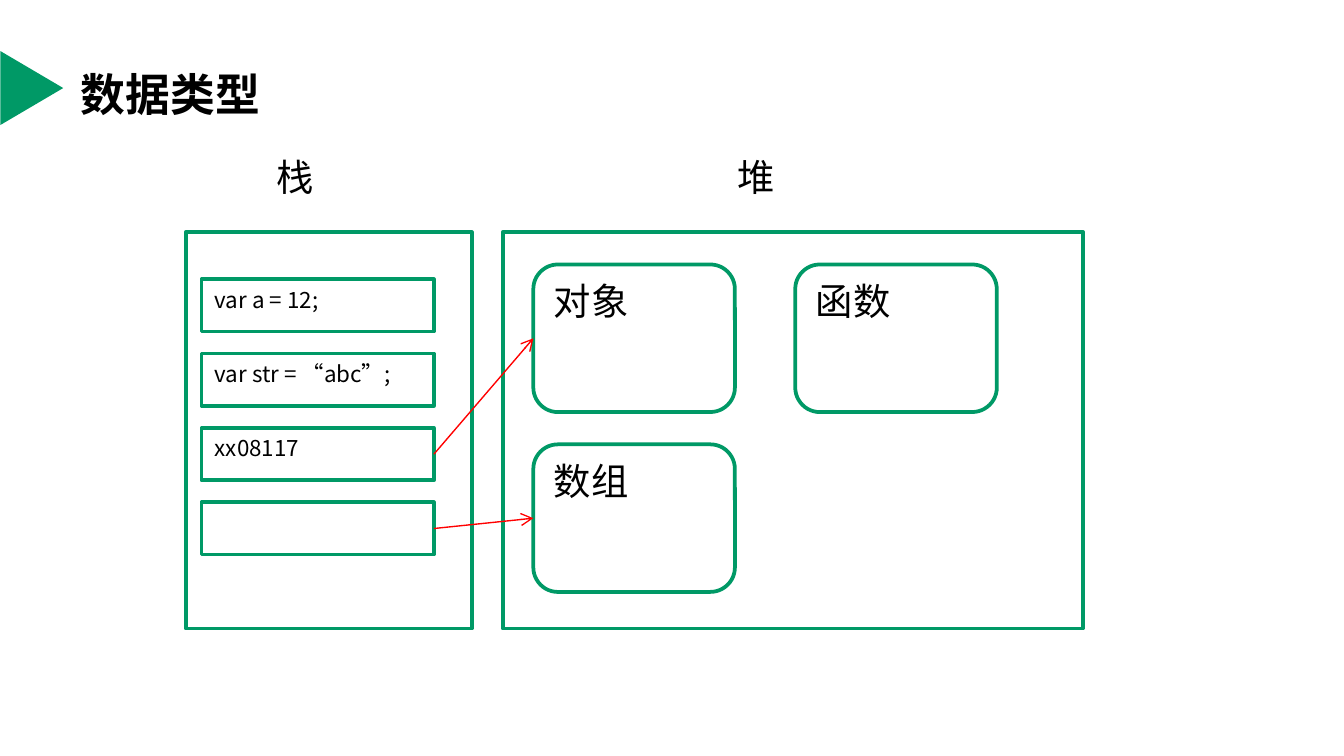
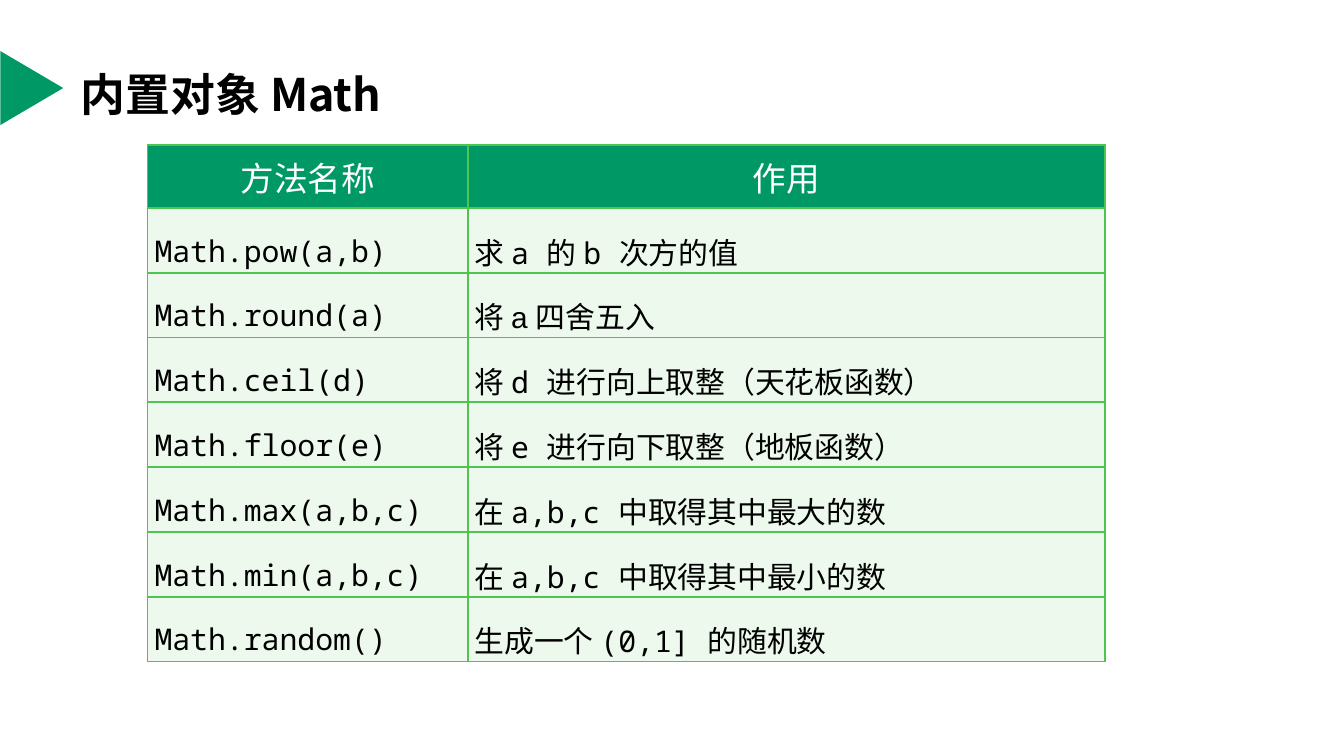
import lxml.etree
import pptx
import pptx.dml.color
import pptx.enum.shapes
import pptx.enum.text
import pptx.oxml.ns
import pptx.util

Cm, Pt = pptx.util.Cm, pptx.util.Pt
SHAPE = pptx.enum.shapes.MSO_SHAPE
ANCHOR = pptx.enum.text.MSO_ANCHOR
ALIGN = pptx.enum.text.PP_ALIGN
qn = pptx.oxml.ns.qn

GREEN, RED, BLACK, WHITE = "009966", "FF0000", "000000", "FFFFFF"
GRID, PALE = "4FC54F", "EDF9ED"
SANS, MONO, PLAIN = "Noto Sans CJK SC", "Noto Sans Mono", "Arial"

MEMORY_TITLE = "数据类型"
AREAS = [
    {"label": "栈", "label_left": 4.98, "left": 3.51, "width": 5.41},
    {"label": "堆", "label_left": 13.69, "left": 9.5, "width": 10.97},
]
VARIABLES = ["var a = 12;", "var str = “abc”;", "xx08117", ""]
HEAP_ITEMS = [("对象", 0, 0), ("函数", 1, 0), ("数组", 0, 1)]
REFERENCES = [(2, "对象"), (3, "数组")]

MATH_TITLE = "内置对象 Math"
MATH_HEADER = ["方法名称", "作用"]
MATH_METHODS = [
    ("Math.pow(a,b)", [("求 a 的 b 次方的值", MONO)]),
    ("Math.round(a)", [("将 a ", PLAIN), ("四舍五入", MONO)]),
    ("Math.ceil(d)", [("将 d 进行向上取整（天花板函数）", MONO)]),
    ("Math.floor(e)", [("将 e 进行向下取整（地板函数）", MONO)]),
    ("Math.max(a,b,c)", [("在 a,b,c 中取得其中最大的数", MONO)]),
    ("Math.min(a,b,c)", [("在 a,b,c 中取得其中最小的数", MONO)]),
    ("Math.random()", [("生成一个 (0,1] 的随机数", MONO)]),
]
COLUMN_WIDTHS = [6.05, 12.04]
ROW_HEIGHT = 1.19


def rgb(code):
    """Turn a hex string into a colour."""
    return pptx.dml.color.RGBColor.from_string(code)


def box(left, top, width, height):
    """Give a position and size in centimetres."""
    return Cm(left), Cm(top), Cm(width), Cm(height)


def add_run(paragraph, text, size, color=BLACK, font=SANS, bold=False):
    """Add one formatted run."""
    run = paragraph.add_run()
    run.text = text
    run.font.size = Pt(size)
    run.font.bold = bold
    run.font.color.rgb = rgb(color)
    run.font.name = font
    east_asian = lxml.etree.SubElement(run.font._element, qn("a:ea"))
    east_asian.set("typeface", SANS)


def add_block(slide, kind, place, text="", size=12):
    """Draw a white shape outlined in green with text at its top left."""
    block = slide.shapes.add_shape(kind, *box(*place))
    block.shadow.inherit = False
    block.fill.solid()
    block.fill.fore_color.rgb = rgb(WHITE)
    block.line.color.rgb = rgb(GREEN)
    block.line.width = Pt(2)
    if text:
        block.text_frame.vertical_anchor = ANCHOR.TOP
        line = block.text_frame.paragraphs[0]
        line.alignment = ALIGN.LEFT
        add_run(line, text, size)
    return block


def add_reference(slide, variable, target):
    """Join a variable's right side to the left side of its heap item."""
    arrow = slide.shapes.add_connector(
        pptx.enum.shapes.MSO_CONNECTOR.STRAIGHT, 0, 0, 0, 0)
    arrow.begin_connect(variable, 3)
    arrow.end_connect(target, 1)
    arrow.line.color.rgb = rgb(RED)
    arrow.line.width = Pt(0.75)
    lxml.etree.SubElement(arrow.line._get_or_add_ln(), qn("a:tailEnd")).set("type", "arrow")
    lxml.etree.SubElement(arrow._element.spPr, qn("a:effectLst"))


def add_titled_slide(deck, heading):
    """Start a slide with the green marker and its title."""
    slide = deck.slides.add_slide(deck.slide_layouts[5])
    marker = slide.shapes.add_shape(SHAPE.ISOSCELES_TRIANGLE, *box(-0.1, 1.07, 1.4, 1.19))
    marker.rotation = 90
    marker.shadow.inherit = False
    marker.fill.solid()
    marker.fill.fore_color.rgb = rgb(GREEN)
    marker.line.fill.background()
    title = slide.shapes.title
    title.left, title.top, title.width, title.height = box(1.27, 0.58, 22.86, 2.39)
    title.text_frame.auto_size = pptx.enum.text.MSO_AUTO_SIZE.NONE
    title.text_frame.vertical_anchor = ANCHOR.MIDDLE
    line = title.text_frame.paragraphs[0]
    line.alignment = ALIGN.LEFT
    add_run(line, heading, 24, bold=True)
    return slide


def build_memory_slide(deck):
    """Show stack variables that refer to items on the heap."""
    slide = add_titled_slide(deck, MEMORY_TITLE)
    for area in AREAS:
        add_block(slide, SHAPE.RECTANGLE, (area["left"], 4.39, area["width"], 7.49))
        label = slide.shapes.add_textbox(*box(area["label_left"], 2.79, 3.12, 1.17))
        label.text_frame.word_wrap = True
        add_run(label.text_frame.paragraphs[0], area["label"], 20)
    variables = [
        add_block(slide, SHAPE.RECTANGLE, (3.81, 5.28 + 1.405 * row, 4.39, 0.99), text)
        for row, text in enumerate(VARIABLES)
    ]
    heap = {
        text: add_block(slide, SHAPE.ROUNDED_RECTANGLE,
                        (10.08 + 4.95 * column, 5 + 3.4 * row, 3.81, 2.79), text, 20)
        for text, column, row in HEAP_ITEMS
    }
    for index, name in REFERENCES:
        add_reference(slide, variables[index], heap[name])


def style_cell(cell, fill, margin_x, margin_y):
    """Set a cell's borders, fill, margins and anchor."""
    properties = cell._tc.get_or_add_tcPr()
    for side in ("a:lnL", "a:lnR", "a:lnT", "a:lnB"):
        border = lxml.etree.SubElement(properties, qn(side), w=str(Pt(1)))
        paint = lxml.etree.SubElement(border, qn("a:solidFill"))
        lxml.etree.SubElement(paint, qn("a:srgbClr"), val=GRID)
    cell.fill.solid()
    cell.fill.fore_color.rgb = rgb(fill)
    cell.margin_left = cell.margin_right = Cm(margin_x)
    cell.margin_top = cell.margin_bottom = Cm(margin_y)
    cell.vertical_anchor = ANCHOR.MIDDLE


def build_math_slide(deck):
    """List the Math methods and what they do."""
    slide = add_titled_slide(deck, MATH_TITLE)
    row_count = len(MATH_METHODS) + 1
    table = slide.shapes.add_table(
        row_count, len(COLUMN_WIDTHS),
        *box(2.79, 2.74, sum(COLUMN_WIDTHS), ROW_HEIGHT * row_count)).table
    for column, width in zip(table.columns, COLUMN_WIDTHS):
        column.width = Cm(width)
    for row in table.rows:
        row.height = Cm(ROW_HEIGHT)
    for column, text in enumerate(MATH_HEADER):
        cell = table.cell(0, column)
        style_cell(cell, GREEN, 0.25, 0.13)
        line = cell.text_frame.paragraphs[0]
        line.alignment = ALIGN.CENTER
        add_run(line, text, 18, WHITE)
    for row, (method, effect) in enumerate(MATH_METHODS, 1):
        for column, runs in enumerate([[(method, MONO)], effect]):
            cell = table.cell(row, column)
            style_cell(cell, PALE, 0.13, 0)
            line = cell.text_frame.paragraphs[0]
            line.line_spacing = 1.5
            for text, font in runs:
                add_run(line, text, 16, font=font)


def main():
    """Build and save the deck."""
    deck = pptx.Presentation()
    deck.slide_width, deck.slide_height = Cm(25.4), Cm(14.29)
    build_memory_slide(deck)
    build_math_slide(deck)
    deck.save("out.pptx")


main()
